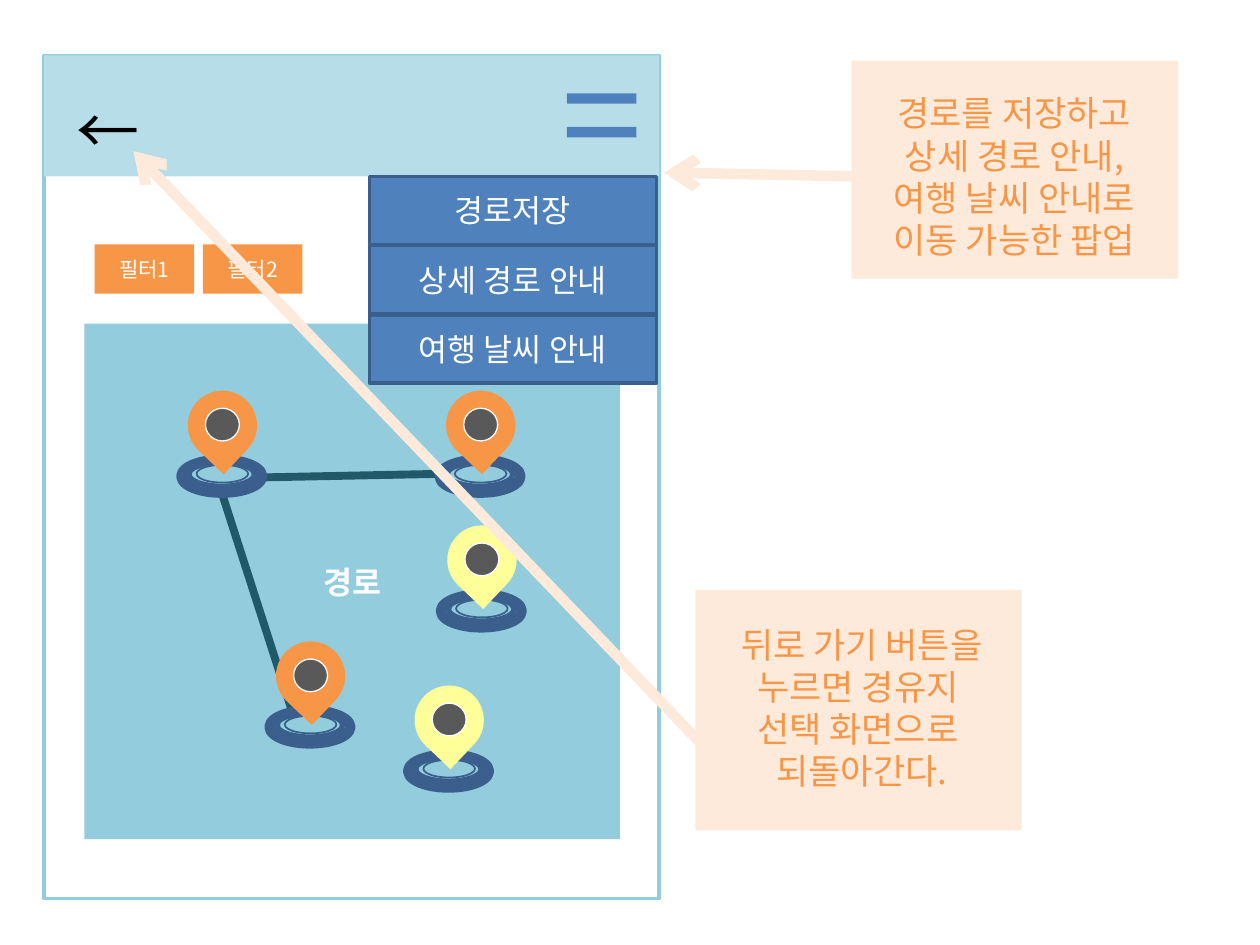
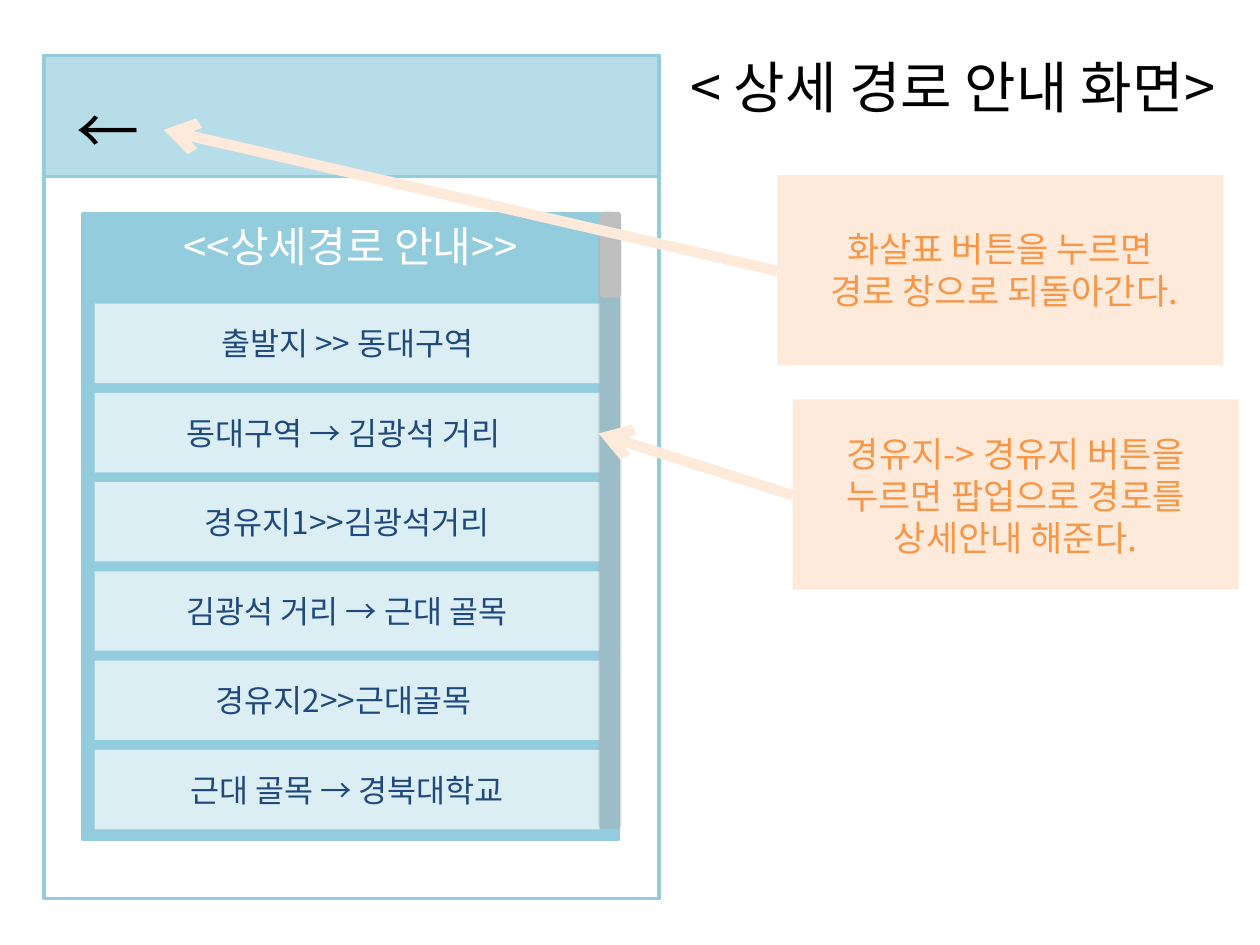
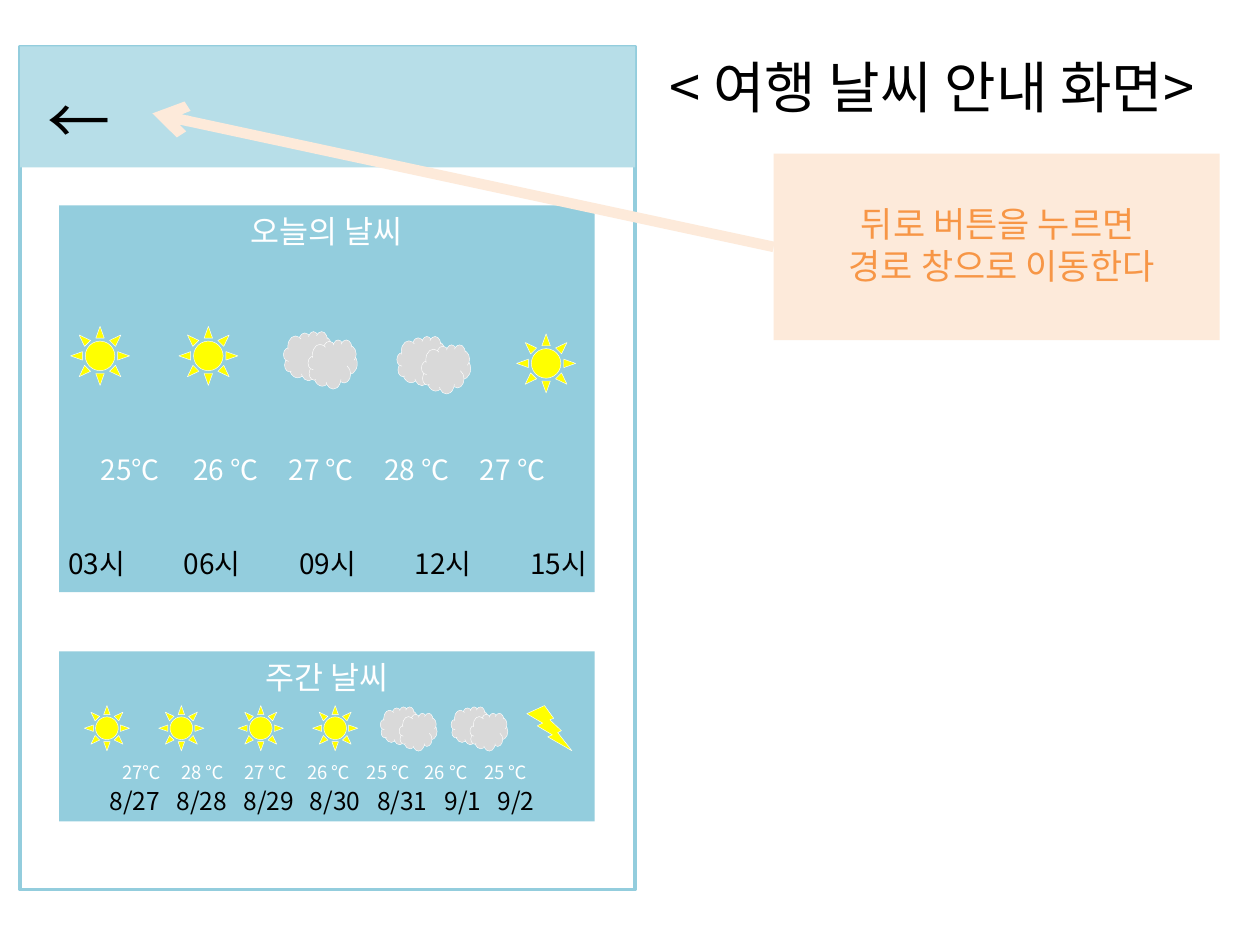
import pptx
import pptx.util
import pptx.dml.color
import pptx.enum.shapes
import pptx.enum.text
import pptx.oxml.ns
import lxml.etree

Pt = pptx.util.Pt
RGB = pptx.dml.color.RGBColor
SHAPE = pptx.enum.shapes.MSO_SHAPE
ALIGN = pptx.enum.text.PP_ALIGN
ANCHOR = pptx.enum.text.MSO_ANCHOR
AUTO = pptx.enum.text.MSO_AUTO_SIZE
qn = pptx.oxml.ns.qn

FONT = "Noto Sans CJK KR"
BLACK = RGB(0x00, 0x00, 0x00)
WHITE = RGB(0xFF, 0xFF, 0xFF)
SKY = RGB(0x93, 0xCD, 0xDD)
BAR = RGB(0xB7, 0xDE, 0xE8)
PALE = RGB(0xDB, 0xEE, 0xF4)
NAVY = RGB(0x1F, 0x49, 0x7D)
BLUE = RGB(0x4F, 0x81, 0xBD)
EDGE = RGB(0x3A, 0x5F, 0x8C)
ROUTE = RGB(0x21, 0x59, 0x68)
ORANGE = RGB(0xF7, 0x96, 0x46)
PEACH = RGB(0xFD, 0xEA, 0xDA)
LEMON = RGB(0xFF, 0xFF, 0x99)
YELLOW = RGB(0xFF, 0xFF, 0x00)
DARK = RGB(0x59, 0x59, 0x59)
TRACK = RGB(0xA6, 0xA6, 0xA6)
THUMB = RGB(0xBF, 0xBF, 0xBF)
CLOUD = RGB(0xD9, 0xD9, 0xD9)


def box(s, kind, at, fill=None, line=None, width=2, text=None, size=18,
        color=WHITE, bold=False, anchor=ANCHOR.MIDDLE, align=ALIGN.CENTER):
    """Place a preset shape, a "text" box or the "title", and write in it."""
    at = [Pt(v) for v in at]
    if kind == "title":
        sp = s.shapes.title
        sp.left, sp.top, sp.width, sp.height = at
    elif kind == "text":
        sp = s.shapes.add_textbox(*at)
    else:
        sp = s.shapes.add_shape(kind, *at)
        sp.shadow.inherit = False
        if fill is None:
            sp.fill.background()
        else:
            sp.fill.solid()
            sp.fill.fore_color.rgb = fill
        if line is None:
            sp.line.fill.background()
        else:
            sp.line.color.rgb = line
            sp.line.width = Pt(width)
    if text is None:
        return sp
    tf = sp.text_frame
    tf.text = text
    frame = {"word_wrap": True, "vertical_anchor": anchor}
    if kind in ("text", "title"):
        frame["vertical_anchor"] = ANCHOR.TOP
        frame["auto_size"] = AUTO.SHAPE_TO_FIT_TEXT if kind == "text" else AUTO.NONE
    for name, value in frame.items():
        setattr(tf, name, value)
    for p in tf.paragraphs:
        p.alignment = align
        for r in p.runs:
            for name, value in {"name": FONT, "size": Pt(size), "bold": bold}.items():
                setattr(r.font, name, value)
            r.font.color.rgb = color
            ea = lxml.etree.SubElement(r.font._element, qn("a:ea"))
            ea.set("typeface", FONT)
    return sp


def connect(s, start, end, color, width, arrow=False):
    c = s.shapes.add_connector(pptx.enum.shapes.MSO_CONNECTOR.STRAIGHT,
                               *[Pt(v) for v in start + end])
    c.line.color.rgb = color
    c.line.width = Pt(width)
    if arrow:
        ln = c.line._get_or_add_ln()
        lxml.etree.SubElement(ln, qn("a:headEnd")).set("type", "arrow")
    lxml.etree.SubElement(c._element.spPr, qn("a:effectLst"))


prs = pptx.Presentation()
prs.slide_width, prs.slide_height = Pt(720), Pt(540)

# Phone frame, top bar, back arrow and title of every screen
screens = [
    (25.2, 31.7, None, (36.7, 49), None, None),
    (25.2, 31.7, SKY, (36.7, 49), "< 상세 경로 안내 화면>", 365.8),
    (11.5, 26.6, None, (20.2, 43.2), "< 여행 날씨 안내 화면>", 354.2),
]
slides = []
for x, y, bar_line, back, title, title_x in screens:
    s = prs.slides.add_slide(prs.slide_layouts[5 if title else 6])
    slides.append(s)
    if title:
        box(s, "title", (title_x, 26.6, 357.1, 46.1), text=title, size=32, color=BLACK)
    box(s, SHAPE.RECTANGLE, (x, y, 351.4, 481.7), line=SKY)
    box(s, SHAPE.RECTANGLE, (x, y, 351.4, 69.1), BAR, bar_line)
    box(s, "text", back + (56.9, 51.1), text="←", size=36, color=BLACK, align=ALIGN.LEFT)
route, detail, weather = slides

# Route screen: map, filters, menu icon
box(route, SHAPE.RECTANGLE, (48.2, 185, 306, 294.5), SKY, text="경로", bold=True)
for i in range(2):
    box(route, SHAPE.RECTANGLE, (54 + 62 * i, 139.7, 56.9, 28.1), ORANGE,
        text=f"필터{i + 1}", size=12)
connect(route, (256.3, 270.7), (145.4, 272.9), ROUTE, 4.5)
connect(route, (167, 406.8), (126.7, 281.5), ROUTE, 4.5)
menu = box(route, SHAPE.MATH_EQUAL, (316.8, 43.2, 54, 45.4), BLUE)
menu.adjustments[0], menu.adjustments[1] = 0.131, 0.292

# Map pins: three rings, a drop and a dot
pins = [(103.7, 262.8, ORANGE), (154.1, 406.1, ORANGE), (251.3, 262.8, ORANGE),
        (252, 339.8, LEMON), (233.3, 431.3, LEMON)]
rings = [(0, 0, 46.1, 18.7, 6), (8.6, 2.9, 29.5, 10.1, 1), (4.3, 1.4, 37.4, 13.7, 3)]
for x, y, color in pins:
    for dx, dy, w, h, width in rings:
        box(route, SHAPE.OVAL, (x + dx, y + dy, w, h), line=EDGE, width=width)
    drop = box(route, SHAPE.TEAR, (x + 3.6, y - 39.6, 39.6, 39.6), color)
    drop.rotation = 133.5
    box(route, SHAPE.OVAL, (x + 13.7, y - 29.5, 19.4, 18.7), DARK, WHITE, 0.75)

# Popup menu
for i, text in enumerate(["경로저장", "상세 경로 안내", "여행 날씨 안내"]):
    box(route, SHAPE.RECTANGLE, (211, 100.8 + 39.6 * i, 164.2, 38.9), BLUE, EDGE, text=text)

# Detail screen: list of legs with a scrollbar
box(detail, SHAPE.RECTANGLE, (47.5, 122.4, 306, 357.1), SKY, SKY,
    text="<<상세경로 안내>>", size=24, anchor=ANCHOR.TOP)
legs = ["출발지 >> 동대구역", "동대구역 → 김광석 거리 ", "경유지1>>김광석거리",
        "김광석 거리 → 근대 골목", "경유지2>>근대골목 ", "근대 골목 → 경북대학교"]
for i, text in enumerate(legs):
    box(detail, SHAPE.RECTANGLE, (54, 173.5 + 51 * i, 288.7, 45.4), PALE,
        text=text, color=NAVY)
track = box(detail, SHAPE.FLOWCHART_ALTERNATE_PROCESS, (342, 134.6, 13, 339.1), TRACK)
srgb = track._element.spPr.find(qn("a:solidFill")).find(qn("a:srgbClr"))
lxml.etree.SubElement(srgb, qn("a:alpha")).set("val", "40000")
box(detail, SHAPE.FLOWCHART_ALTERNATE_PROCESS, (342.7, 121, 12.2, 49), THUMB)

# Weather screen: panels
for y, h, text in [(117.4, 221, "오늘의 날씨"), (372.2, 97.2, "주간 날씨")]:
    box(weather, SHAPE.RECTANGLE, (33.8, y, 306, h), SKY, text=text, anchor=ANCHOR.TOP)

# Weather icons
icons = [(SHAPE.SUN, 33.8, [(40.3, 186.5), (102.2, 186.5), (295.2, 190.8)]),
         (SHAPE.SUN, 25.9, [(x, 403.2) for x in (48.2, 90.7, 136.1, 178.6)]),
         (SHAPE.LIGHTNING_BOLT, 25.9, [(301, 403.2)]),
         (SHAPE.CLOUD, 28.1, [(162, 189.4), (226.8, 192.2)]),
         (SHAPE.CLOUD, 21.6, [(217.4, 403.9), (257.8, 403.9)])]
for kind, size, places in icons:
    for x, y in places:
        if kind == SHAPE.CLOUD:
            for k in range(2):
                box(weather, kind, (x + 0.5 * size * k, y + 0.17 * size * k, size, size),
                    CLOUD, WHITE, 0.25)
        else:
            box(weather, kind, (x, y, size, size), YELLOW, WHITE, 0.25)

# Weather rows, each value centred on its tab stop
rows = [
    ((28.8, 254.9, 317.5, 26.6), 16, WHITE, [38.5 + 54.6 * i for i in range(5)],
     ["25℃", "26 ℃", "27 ℃", "28 ℃", "27 ℃"]),
    ((28.8, 308.9, 317.5, 26.6), 16, BLACK, [19.4 + 66 * i for i in range(5)],
     ["03시", "06시", "09시", "12시", "15시"]),
    ((28.8, 431.3, 317.5, 20.9), 10.5, WHITE, [45, 80, 116, 152, 186, 219, 253],
     ["27℃", "28 ℃", "27 ℃", "26 ℃", "25 ℃", "26 ℃", "25 ℃"]),
    ((11.5, 445.7, 345.6, 24.5), 14, BLACK, [58.4, 96.7, 135, 173, 211.3, 246, 276.2],
     ["8/27", "8/28", "8/29", "8/30", "8/31", "9/1", "9/2"]),
]
for at, size, color, stops, values in rows:
    sp = box(weather, "text", at, text="".join("\t" + v for v in values),
             size=size, color=color, align=ALIGN.LEFT)
    pPr = sp.text_frame.paragraphs[0]._p.get_or_add_pPr()
    tabs = lxml.etree.SubElement(pPr, qn("a:tabLst"))
    for stop in stops:
        tab = lxml.etree.SubElement(tabs, qn("a:tab"))
        tab.set("pos", str(int(Pt(stop))))
        tab.set("algn", "ctr")

# Callouts: card, note and arrow
callouts = [
    (route, (486.7, 34.6, 186.5, 124.6), (490.3, 49, 178.6, 104.4),
     (379.4, 98.6), (490.3, 100.8),
     "경로를 저장하고\n상세 경로 안내,\n여행 날씨 안내로 이동 가능한 팝업"),
    (route, (397.4, 337, 186.5, 137.5), (403.2, 352.8, 178.6, 149.8),
     (76.3, 86.4), (403.2, 427.7),
     "뒤로 가기 버튼을 누르면 경유지 \n선택 화면으로 \n되돌아간다."),
    (detail, (444.2, 100.1, 254.9, 108.7), (444.2, 126.7, 254.9, 55.4),
     (93.6, 74.2), (444.2, 154.8), "화살표 버튼을 누르면\n 경로 창으로 되돌아간다."),
    (detail, (452.9, 228.2, 254.9, 108.7), (473.8, 243.4, 213.1, 79.9),
     (342, 247.7), (452.9, 283),
     "경유지-> 경유지 버튼을 누르면 팝업으로 경로를 상세안내 해준다."),
    (weather, (442.1, 87.8, 254.9, 106.6), (445, 112.3, 254.9, 55.4),
     (87.1, 64.8), (442.1, 141.1), "뒤로 버튼을 누르면 \n경로 창으로 이동한다"),
]
for s, card, note, tip, tail, text in callouts:
    box(s, SHAPE.RECTANGLE, card, PEACH)
    box(s, "text", note, text=text, size=20, color=ORANGE)
    connect(s, tip, tail, PEACH, 6, arrow=True)

prs.save("out.pptx")
